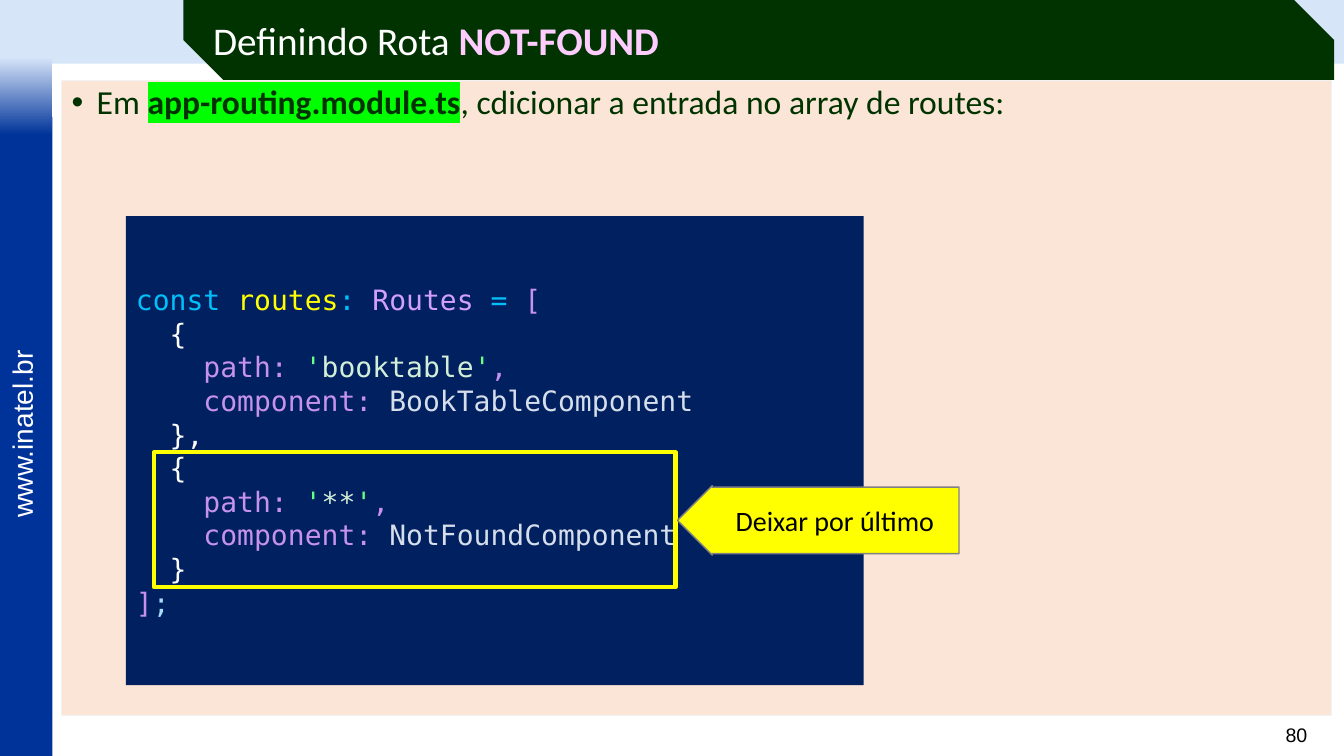
from dataclasses import dataclass

from lxml import etree
from pptx import Presentation
from pptx.dml.color import RGBColor
from pptx.enum.shapes import MSO_SHAPE
from pptx.enum.text import MSO_ANCHOR, PP_ALIGN
from pptx.oxml.ns import qn
from pptx.util import Pt

RECT = MSO_SHAPE.RECTANGLE
SNIPPED = MSO_SHAPE.SNIP_2_DIAG_RECTANGLE
LEFT_ARROW = MSO_SHAPE.LEFT_ARROW
TOP, MIDDLE = MSO_ANCHOR.TOP, MSO_ANCHOR.MIDDLE
LEFT, CENTER, RIGHT = PP_ALIGN.LEFT, PP_ALIGN.CENTER, PP_ALIGN.RIGHT


@dataclass(frozen=True)
class Theme:
    sky: str = "D7E5F9"
    blue: str = "003399"
    green: str = "003300"
    peach: str = "FBE5D6"
    pale: str = "F2F2F2"
    pink: str = "FFCCFF"
    white: str = "FFFFFF"
    black: str = "000000"
    grey: str = "808080"
    yellow: str = "FFFF00"
    marker: str = "00FF00"
    navy: str = "002060"
    keyword: str = "00BFF9"
    type_name: str = "D29FFC"
    prop: str = "C792EA"
    quote: str = "6BFF81"
    literal: str = "D3EED6"
    component: str = "D6DEEB"
    semicolon: str = "A7DBF7"
    sans: str = "Calibri"
    frame: str = "Arial"
    mono: str = "DejaVu Sans Mono"
    title_size: int = 28
    body_size: int = 24
    text_size: int = 20
    number_size: int = 14


THEME = Theme()


def rgb(color):
    return RGBColor.from_string(color)


def add_block(slide, box, kind=RECT, fill=None, line=None, line_width=1):
    block = slide.shapes.add_shape(kind, *map(Pt, box))
    block.shadow.inherit = False
    if fill:
        block.fill.solid()
        block.fill.fore_color.rgb = rgb(fill)
    else:
        block.fill.background()
    if line:
        block.line.color.rgb = rgb(line)
        block.line.width = Pt(line_width)
    else:
        block.line.fill.background()
    return block


def write_line(paragraph, pieces, font, size, align=LEFT):
    paragraph.alignment = align
    paragraph.font.name = font
    paragraph.font.size = Pt(size)
    runs = []
    for text, color in pieces:
        run = paragraph.add_run()
        run.text = text
        run.font.color.rgb = rgb(color)
        runs.append(run)
    return runs


def add_label(slide, box, text, color, size, align):
    label = slide.shapes.add_textbox(*map(Pt, box))
    label.text_frame.word_wrap = False
    write_line(label.text_frame.paragraphs[0], [(text, color)], THEME.frame, size, align)
    return label


def highlight(run, color):
    mark = etree.Element(qn("a:highlight"))
    etree.SubElement(mark, qn("a:srgbClr")).set("val", color)
    run.font.fill._xPr.find(qn("a:solidFill")).addnext(mark)


def add_page_frame(slide, box):
    left, top, width, height = box
    rail = 37.5
    add_block(slide, (left, top, width, 45.5), fill=THEME.sky)
    add_block(slide, (left, top + 83.5, rail, height - 83.5), fill=THEME.blue)
    fade = add_block(slide, (left, top + 41, rail, 55.5), fill=THEME.sky)
    fade.fill.gradient()
    fade.fill.gradient_angle = 270
    for stop, color in zip(fade.fill.gradient_stops, (THEME.sky, THEME.blue)):
        stop.color.rgb = rgb(color)
    site = add_label(slide, (left - 52, top + 294.5, 135, 31), "www.inatel.br",
                     THEME.white, THEME.text_size, CENTER)
    site.rotation = 270
    add_label(slide, (left + 894, top + 512.5, 47, 24.5), "80",
              THEME.black, THEME.number_size, RIGHT)


def add_body(slide, box):
    body = add_block(slide, box, fill=THEME.peach, line=THEME.pale)
    frame = body.text_frame
    frame.word_wrap = True
    frame.vertical_anchor = TOP
    sentence = frame.paragraphs[0]
    sentence.line_spacing = 0.9
    properties = sentence._p.get_or_add_pPr()
    properties.set("marL", str(Pt(18)))
    properties.set("indent", str(-Pt(18)))
    etree.SubElement(properties, qn("a:buFont")).set("typeface", THEME.frame)
    etree.SubElement(properties, qn("a:buChar")).set("char", "•")
    pieces = [(text, THEME.green) for text in (
        "Em ", "app-routing.module.ts", ", cdicionar a entrada no array de routes:")]
    file_name = write_line(sentence, pieces, THEME.sans, THEME.body_size)[1]
    file_name.font.bold = True
    highlight(file_name, THEME.marker)


def route_lines(route, component, closing):
    return [
        [("  {", THEME.white)],
        [("    path: ", THEME.prop), ("'", THEME.quote), (route, THEME.literal),
         ("'", THEME.quote), (",", THEME.prop)],
        [("    component: ", THEME.prop), (component, THEME.component)],
        [("  " + closing, THEME.white)],
    ]


def add_code(slide, box):
    left, top, _, _ = box
    panel = add_block(slide, box, fill=THEME.navy)
    frame = panel.text_frame
    frame.word_wrap = True
    frame.vertical_anchor = MIDDLE
    lines = [
        [("const ", THEME.keyword), ("routes", THEME.yellow), (": ", THEME.keyword),
         ("Routes ", THEME.type_name), ("=", THEME.keyword), (" [", THEME.prop)],
        *route_lines("booktable", "BookTableComponent", "},"),
        *route_lines("**", "NotFoundComponent", "}"),
        [("]", THEME.prop), (";", THEME.semicolon)],
    ]
    for index, pieces in enumerate(lines):
        paragraph = frame.add_paragraph() if index else frame.paragraphs[0]
        write_line(paragraph, pieces, THEME.mono, THEME.text_size)
    add_block(slide, (left + 20, top + 168.5, 372.5, 96.5),
              line=THEME.yellow, line_width=3)
    add_callout(slide, (left + 394, top + 192.5, 201, 49.5))


def add_callout(slide, box):
    callout = add_block(slide, box, LEFT_ARROW, THEME.yellow, THEME.grey)
    callout.adjustments[0] = 0.96
    callout.adjustments[1] = 0.5
    callout.text_frame.vertical_anchor = MIDDLE
    write_line(callout.text_frame.paragraphs[0], [("Deixar por último", THEME.black)],
               THEME.sans, THEME.text_size, CENTER)


def add_title(slide, box):
    banner = add_block(slide, box, SNIPPED, THEME.green)
    banner.adjustments[0] = 0
    banner.adjustments[1] = 0.5
    banner.text_frame.vertical_anchor = MIDDLE
    pieces = [("Definindo Rota ", THEME.white), ("NOT-FOUND", THEME.pink)]
    topic = write_line(banner.text_frame.paragraphs[0], pieces,
                       THEME.sans, THEME.title_size)[1]
    topic.font.bold = True


def main():
    deck = Presentation()
    deck.slide_width, deck.slide_height = Pt(960), Pt(540)
    slide = deck.slides.add_slide(deck.slide_layouts[6])
    add_page_frame(slide, (0, 0, 960, 540))
    add_body(slide, (44, 57.5, 907, 453.5))
    add_code(slide, (90, 154.5, 527, 335))
    add_title(slide, (131, 0, 822, 57))
    deck.save("out.pptx")


if __name__ == "__main__":
    main()
